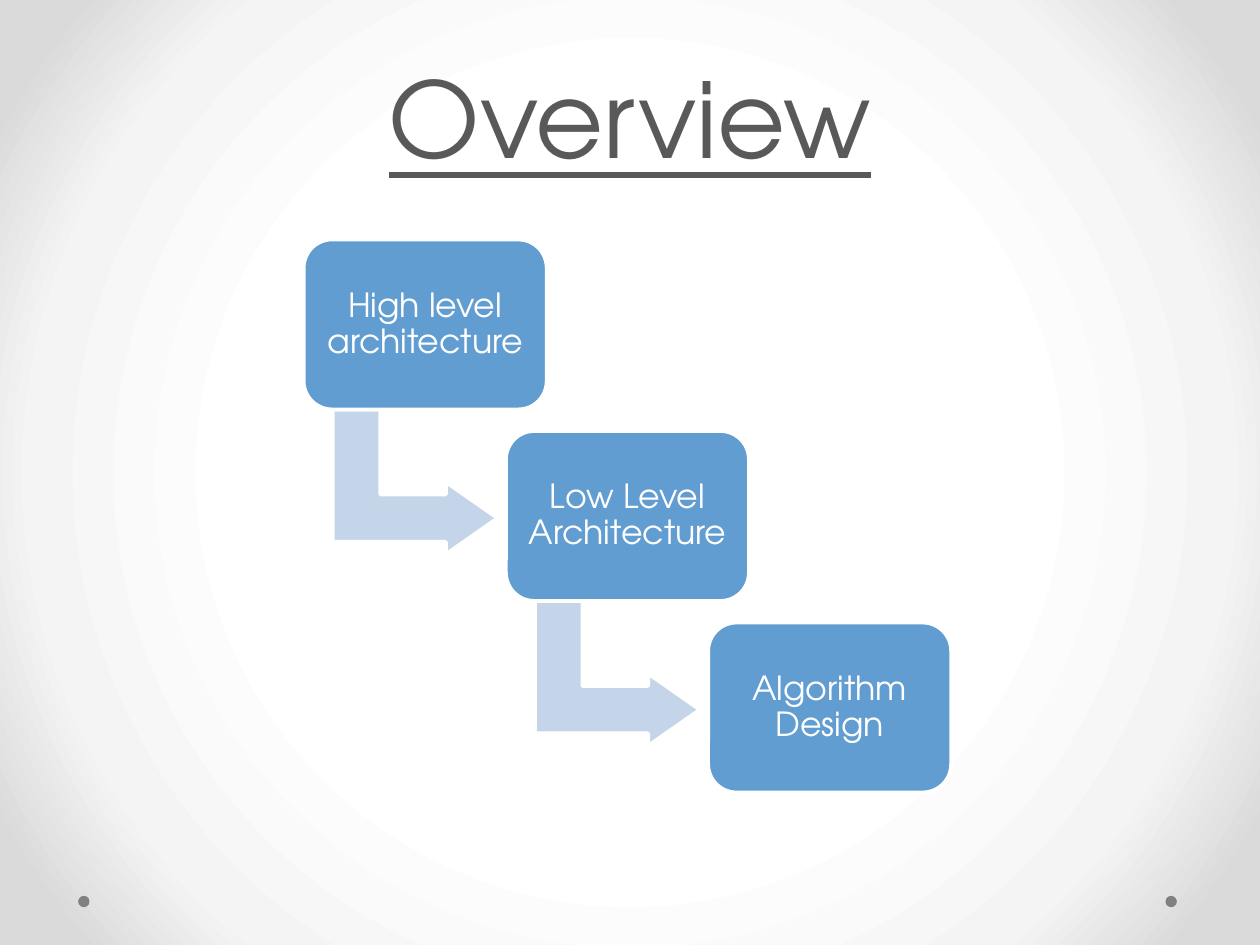
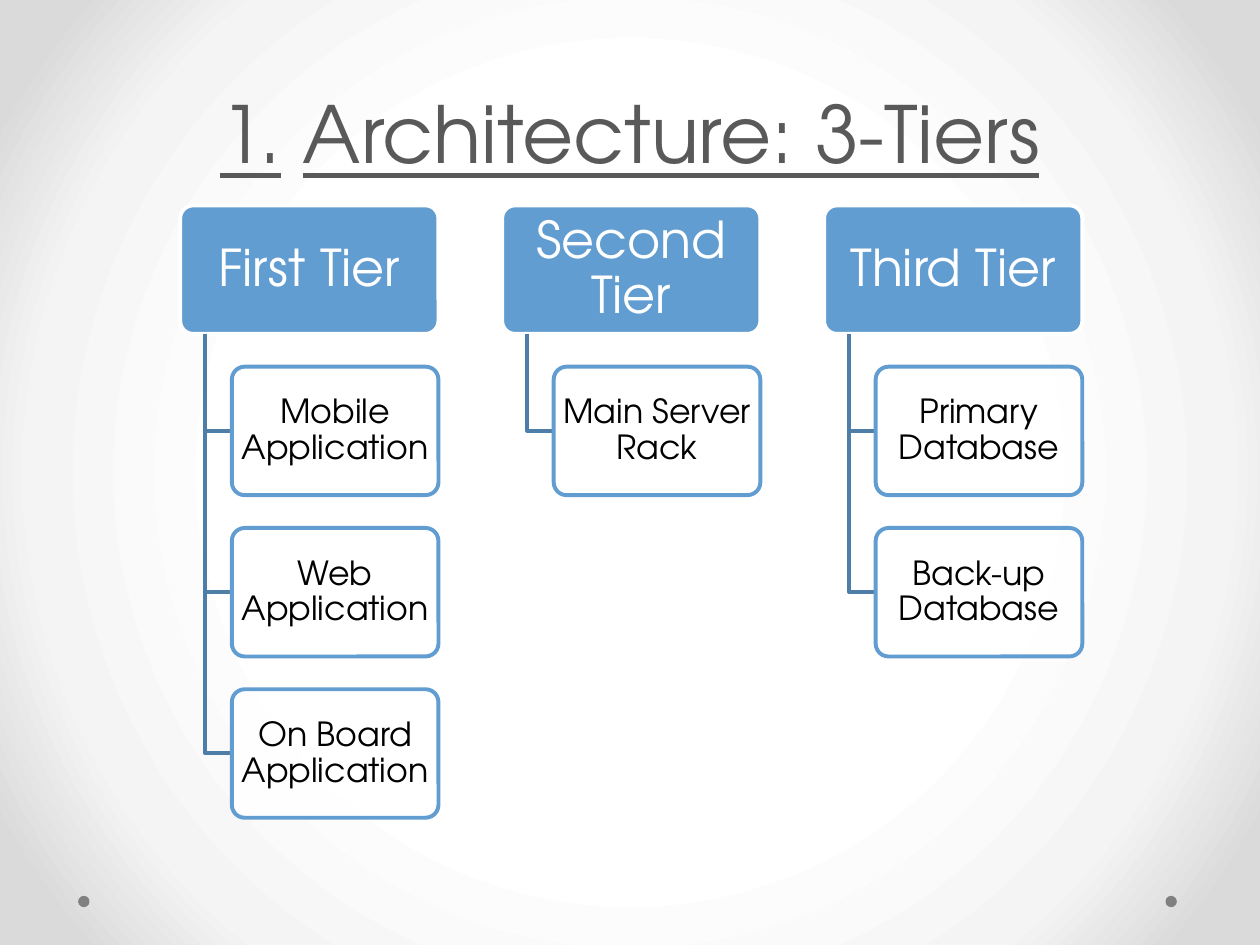
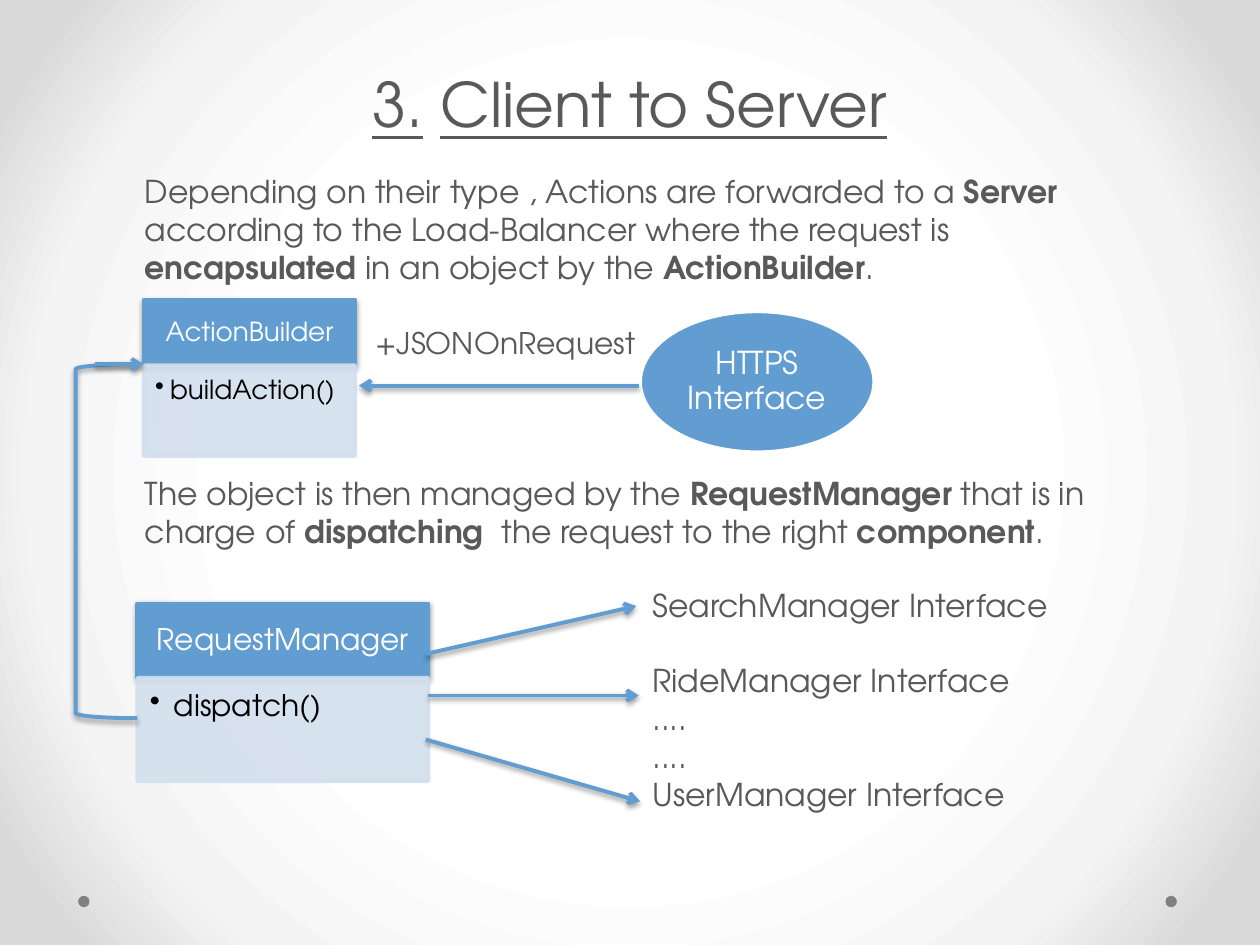
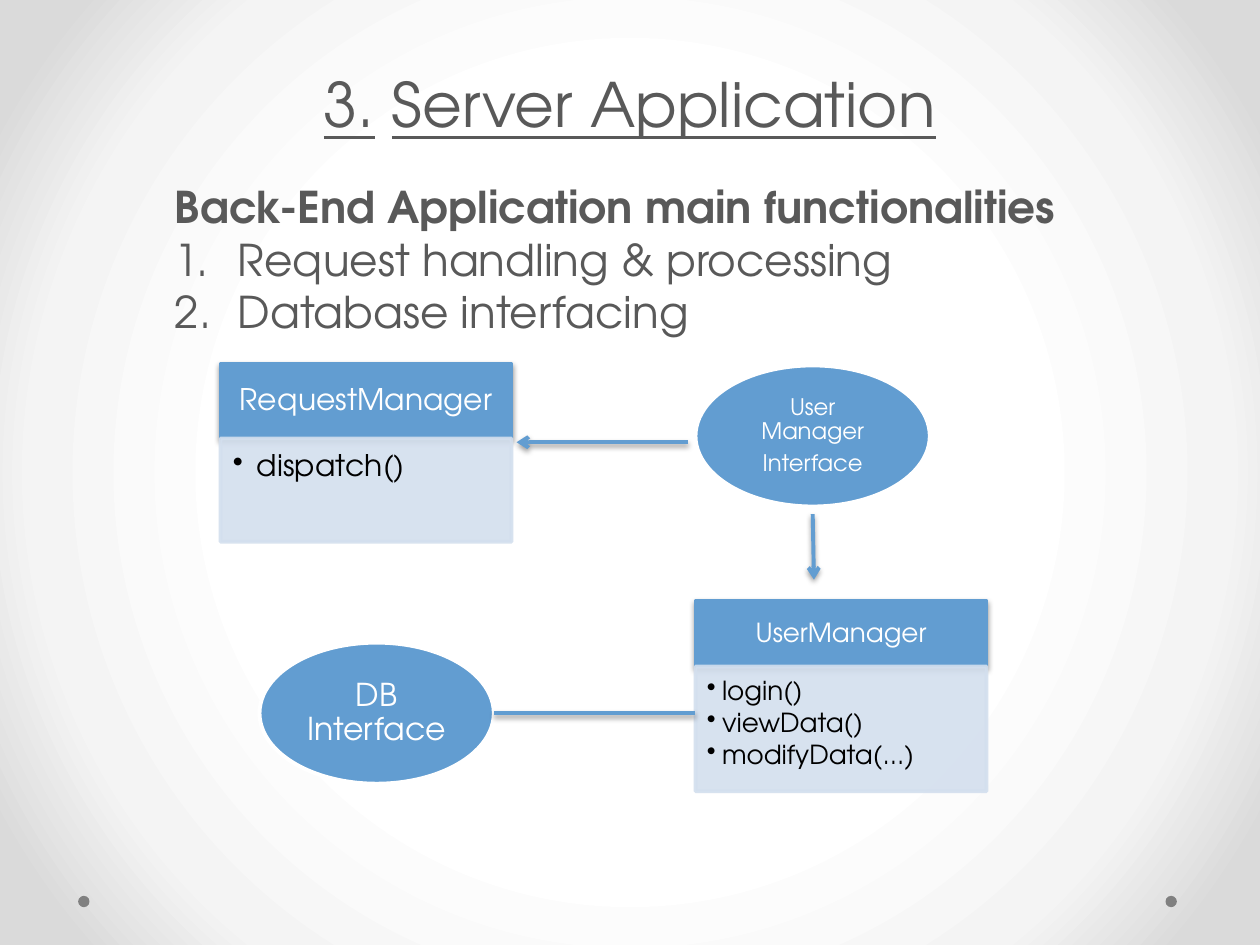
from dataclasses import dataclass

from lxml import etree
from pptx import Presentation
from pptx.dml.color import RGBColor
from pptx.enum.shapes import MSO_CONNECTOR, MSO_SHAPE
from pptx.enum.text import MSO_ANCHOR, PP_ALIGN
from pptx.oxml import parse_xml
from pptx.oxml.ns import nsdecls, qn
from pptx.util import Inches, Pt

RECTANGLE = MSO_SHAPE.RECTANGLE
ROUNDED = MSO_SHAPE.ROUNDED_RECTANGLE
OVAL = MSO_SHAPE.OVAL
BENT_ARROW = MSO_SHAPE.BENT_UP_ARROW
BRACKET = MSO_SHAPE.LEFT_BRACKET
STRAIGHT = MSO_CONNECTOR.STRAIGHT
LEFT, CENTER = PP_ALIGN.LEFT, PP_ALIGN.CENTER
TOP, MIDDLE, BOTTOM = MSO_ANCHOR.TOP, MSO_ANCHOR.MIDDLE, MSO_ANCHOR.BOTTOM

FONT = "TeX Gyre Adventor"
COLORS = {
    "text": "595959",
    "black": "000000",
    "white": "FFFFFF",
    "blue": "629DD1",
    "arrow": "C5D5E9",
    "branch": "4E7EA7",
    "body": "D3DFEE",
    "dot": "808080",
    "mid": "F4F4F4",
    "edge": "DADADA",
}
BACKGROUND_STOPS = ((50, "white"), (76, "mid"), (92, "edge"))
LINE_WIDTH = Pt(2.25)
BODY_LINE = 21.5  # points taken by one line of 18 pt text


@dataclass
class ClassStyle:
    size: int
    header_height: float
    header_insets: tuple
    body_insets: tuple
    indent: float


@dataclass
class ClassBox:
    name: str
    methods: tuple
    left: float
    top: float
    width: float
    body_height: float
    style: ClassStyle


@dataclass
class Interface:
    lines: tuple
    left: float
    top: float
    size: int = 18
    inset: float = 0.07


@dataclass
class Tier:
    name: str
    components: tuple


@dataclass
class Arrow:
    start: tuple
    end: tuple
    head: bool = True


LARGE = ClassStyle(17, 0.59, (0.13, 0.08, 0.13, 0.08), (0.1, 0.1, 0.13, 0.15), 0.19)
SMALL = ClassStyle(15, 0.52, (0.12, 0.07, 0.12, 0.07), (0.09, 0.09, 0.12, 0.13), 0.12)


# Formatting helpers
def color(name: str) -> RGBColor:
    return RGBColor.from_string(COLORS[name])


def add_shadow(effects) -> None:
    effects.append(parse_xml(
        f'<a:outerShdw {nsdecls("a")} blurRad="39370" dist="20320" dir="5400000" rotWithShape="0">'
        f'<a:srgbClr val="{COLORS["black"]}"><a:alpha val="38000"/></a:srgbClr></a:outerShdw>'))


def set_opacity(shape, where: str, percent: int) -> None:
    target = shape.element.spPr.find(f"{where}/{qn('a:srgbClr')}")
    etree.SubElement(target, qn("a:alpha")).set("val", str(percent * 1000))


def style_shape(shape, fill=None, line=None, shadow=False, fill_opacity=100, line_opacity=100):
    if fill:
        shape.fill.solid()
        shape.fill.fore_color.rgb = color(fill)
    else:
        shape.fill.background()
    if line:
        shape.line.color.rgb = color(line)
        shape.line.width = LINE_WIDTH
    else:
        shape.line.fill.background()
    if fill_opacity < 100:
        set_opacity(shape, qn("a:solidFill"), fill_opacity)
    if line_opacity < 100:
        set_opacity(shape, f"{qn('a:ln')}/{qn('a:solidFill')}", line_opacity)
    shape.shadow.inherit = False
    if shadow:
        add_shadow(shape.element.spPr.find(qn("a:effectLst")))
    return shape


def add_box(slide, kind, left, top, width, height, adjustments=(), **style):
    shape = slide.shapes.add_shape(
        kind, Inches(left), Inches(top), Inches(width), Inches(height))
    for index, value in enumerate(adjustments):
        shape.adjustments[index] = value
    return style_shape(shape, **style)


def set_frame(shape, anchor=MIDDLE, insets=(0.1, 0.05, 0.1, 0.05)):
    frame = shape.text_frame
    frame.word_wrap = True
    frame.vertical_anchor = anchor
    frame.margin_left, frame.margin_top, frame.margin_right, frame.margin_bottom = map(Inches, insets)
    return frame


def add_text_box(slide, left, top, width, height, anchor=TOP):
    box = slide.shapes.add_textbox(Inches(left), Inches(top), Inches(width), Inches(height))
    return set_frame(box, anchor)


def add_text(frame, text: str, *, size, fill="text", align=LEFT, emphasis="bold", spacing=None,
             before=0, after=0, margin=0, hanging=0, bullet=None) -> None:
    """Append one paragraph; words between asterisks get the emphasis, \\n breaks a line."""
    paragraph = frame.add_paragraph() if frame.text else frame.paragraphs[0]
    paragraph.alignment = align
    paragraph.space_before, paragraph.space_after = Pt(before), Pt(after)
    if spacing:
        paragraph.line_spacing = spacing
    properties = paragraph._p.get_or_add_pPr()
    properties.set("marL", str(Inches(margin)))
    properties.set("indent", str(Inches(-hanging)))
    if bullet == "number":
        etree.SubElement(properties, qn("a:buAutoNum")).set("type", "arabicPeriod")
    elif bullet:
        etree.SubElement(properties, qn("a:buChar")).set("char", bullet)
    for index, piece in enumerate(text.split("*")):
        for row, words in enumerate(piece.split("\n")):
            if row:
                paragraph.add_line_break()
            if words:
                run = paragraph.add_run()
                run.text = words
                run.font.name = FONT
                run.font.size = Pt(size)
                run.font.color.rgb = color(fill)
                setattr(run.font, emphasis, index % 2 == 1)


def add_label(shape, text, size, insets, fill="white") -> None:
    add_text(set_frame(shape, insets=insets), text, size=size, fill=fill, align=CENTER, spacing=0.9)


# Shared slide elements
def set_background(master) -> None:
    master.background.fill.solid()
    solid = master.element.find(f".//{qn('p:bgPr')}/{qn('a:solidFill')}")
    stops = "".join(f'<a:gs pos="{place * 1000}"><a:srgbClr val="{COLORS[name]}"/></a:gs>'
                    for place, name in BACKGROUND_STOPS)
    solid.getparent().replace(solid, parse_xml(
        f'<a:gradFill {nsdecls("a")} rotWithShape="1"><a:gsLst>{stops}</a:gsLst>'
        '<a:path path="circle"><a:fillToRect l="50000" t="50000" r="50000" b="50000"/></a:path>'
        '</a:gradFill>'))


def add_slide(presentation, title: str, size: int, title_top: float):
    slide = presentation.slides.add_slide(presentation.slide_layouts[6])
    for left in (9.25, 0.62):
        add_box(slide, OVAL, left, 7.11, 0.09, 0.09, fill="dot")
    frame = add_text_box(slide, 0.75, title_top, 8.5, 4.67, BOTTOM)
    add_text(frame, title, size=size, align=CENTER, emphasis="underline")
    return slide


def add_class(slide, box: ClassBox) -> None:
    style = box.style
    header = add_box(slide, RECTANGLE, box.left, box.top, box.width, style.header_height,
                     fill="blue", line="blue", shadow=True)
    add_label(header, box.name, style.size, style.header_insets)
    body = add_box(slide, RECTANGLE, box.left, box.top + style.header_height, box.width,
                   box.body_height, fill="body", line="body", fill_opacity=90, line_opacity=90)
    frame = set_frame(body, TOP, style.body_insets)
    for method in box.methods:
        add_text(frame, method, size=style.size, fill="black", spacing=0.9, after=2,
                 margin=style.indent, hanging=style.indent, bullet="•")


def add_interface(slide, interface: Interface) -> None:
    oval = add_box(slide, OVAL, interface.left, interface.top, 1.86, 1.12, fill="blue", line="white")
    frame = set_frame(oval, insets=(interface.inset,) * 4)
    for line in interface.lines:
        add_text(frame, line, size=interface.size, fill="white", align=CENTER, spacing=0.9, after=4)


def add_arrow(slide, arrow: Arrow) -> None:
    points = map(Inches, arrow.start + arrow.end)
    connector = slide.shapes.add_connector(STRAIGHT, *points)
    connector.line.color.rgb = color("blue")
    connector.line.width = LINE_WIDTH
    properties = connector.element.spPr
    if arrow.head:
        etree.SubElement(properties.find(qn("a:ln")), qn("a:tailEnd")).set("type", "arrow")
    add_shadow(etree.SubElement(properties, qn("a:effectLst")))


# Slides
def build_overview(presentation) -> None:
    slide = add_slide(presentation, "*Overview*", 60, -3.2)
    steps = ("High level architecture", "Low Level Architecture", "Algorithm Design")
    for index, step in enumerate(steps):
        left, top = 2.41 + 1.605 * index, 1.9 + 1.52 * index
        if index < len(steps) - 1:
            arrow = add_box(slide, BENT_ARROW, left + 0.31, top + 1.27, 1.15, 1.31,
                            (0.328, 0.25, 0.358), fill="arrow", line="white")
            arrow.rotation = 90
        card = add_box(slide, ROUNDED, left, top, 1.93, 1.35, (0.167,), fill="blue", line="white")
        add_label(card, step, 19, (0.08,) * 4)


def build_tiers(presentation) -> None:
    slide = add_slide(presentation, "*1.* *Architecture: 3-Tiers*", 45, -3.2)
    tiers = (
        Tier("First Tier", ("Mobile Application", "Web Application", "On Board Application")),
        Tier("Second Tier", ("Main Server Rack",)),
        Tier("Third Tier", ("Primary Database", "Back-up Database")),
    )
    top, height, pitch = 1.63, 1.02, 1.28
    for column, tier in enumerate(tiers):
        left = 1.43 + 2.555 * column
        header = add_box(slide, ROUNDED, left, top, 2.05, height, (0.1,), fill="blue", line="white")
        add_label(header, tier.name, 29, (0.06, 0.04, 0.06, 0.04))
        trunk, card_left = left + 0.2, left + 0.41
        for row, component in enumerate(tier.components):
            card_top = top + pitch * (row + 1)
            middle = card_top + height / 2
            branch = slide.shapes.build_freeform(Inches(trunk), Inches(top + height))
            branch.add_line_segments(
                [(Inches(trunk), Inches(middle)), (Inches(card_left), Inches(middle))], close=False)
            style_shape(branch.convert_to_shape(), line="branch")
            card = add_box(slide, ROUNDED, card_left, card_top, 1.64, height, (0.1,),
                           fill="white", line="blue", fill_opacity=90)
            add_label(card, component, 19, (0.04, 0.03, 0.04, 0.03), fill="black")


def build_client_to_server(presentation) -> None:
    slide = add_slide(presentation, "*3.* *Client to Server*", 35, -3.51)
    frame = add_text_box(slide, 1.05, 1.32, 8.05, 3.13)
    add_text(frame, "Depending on their type , Actions are forwarded to a *Server* according to "
             "the Load-Balancer where the request is *encapsulated* in an object by the "
             "*ActionBuilder*.", size=18)
    add_text(frame, "+JSONOnRequest", size=17, before=BODY_LINE + 0.5, margin=1.83)
    add_text(frame, "The object is then managed by the *RequestManager* that is in charge of "
             "*dispatching*  the request to the right *component*.", size=18,
             before=3 * BODY_LINE + 0.5)

    add_class(slide, ClassBox("ActionBuilder", ("buildAction()",), 1.14, 2.38, 1.68, 0.72, SMALL))
    add_interface(slide, Interface(("HTTPS\nInterface",), 5.08, 2.47))
    add_class(slide, ClassBox("RequestManager", ("dispatch()",), 1.09, 4.79, 2.31, 0.82, LARGE))
    for arrow in (
        Arrow((5.07, 3.06), (2.85, 3.06)),
        Arrow((3.38, 5.19), (5.05, 4.81)),
        Arrow((3.38, 5.87), (5.08, 6.36)),
        Arrow((3.4, 5.52), (5.07, 5.52)),
    ):
        add_arrow(slide, arrow)

    managers = add_text_box(slide, 5.08, 4.6, 3.77, 2.22)
    add_text(managers, "SearchManager Interface", size=18)
    add_text(managers, "RideManager Interface", size=18, before=BODY_LINE)
    for line in ("....", "....", "UserManager Interface"):
        add_text(managers, line, size=18)

    # Return route from the request manager to the action builder
    add_box(slide, BRACKET, 0.6, 2.89, 0.49, 2.81, line="blue", shadow=True)
    add_arrow(slide, Arrow((0.75, 2.89), (1.14, 2.89)))


def build_server_application(presentation) -> None:
    slide = add_slide(presentation, "*3.* *Server Application*", 35, -3.51)
    frame = add_text_box(slide, 1.29, 1.38, 7.4, 1.36)
    add_text(frame, "*Back-End Application main functionalities*", size=25)
    for line in ("Request handling & processing", "Database interfacing"):
        add_text(frame, line, size=25, margin=0.5, hanging=0.5, bullet="number")

    add_class(slide, ClassBox("RequestManager", ("dispatch()",), 1.75, 2.89, 2.31, 0.82, LARGE))
    add_interface(slide, Interface(("User Manager", "Interface"), 5.52, 2.9, 13, 0.05))
    add_class(slide, ClassBox("UserManager", ("login()", "viewData()", "modifyData(...)"),
                              5.52, 4.77, 2.31, 0.99, SMALL))
    add_interface(slide, Interface(("DB\nInterface",), 2.06, 5.1))
    for arrow in (
        Arrow((5.46, 3.51), (4.1, 3.51)),
        Arrow((6.45, 4.08), (6.46, 4.6)),
        Arrow((3.92, 5.66), (5.52, 5.66), head=False),
    ):
        add_arrow(slide, arrow)


def main() -> None:
    presentation = Presentation()
    presentation.slide_width, presentation.slide_height = Inches(10), Inches(7.5)
    set_background(presentation.slide_master)
    build_overview(presentation)
    build_tiers(presentation)
    build_client_to_server(presentation)
    build_server_application(presentation)
    presentation.save("out.pptx")


if __name__ == "__main__":
    main()
